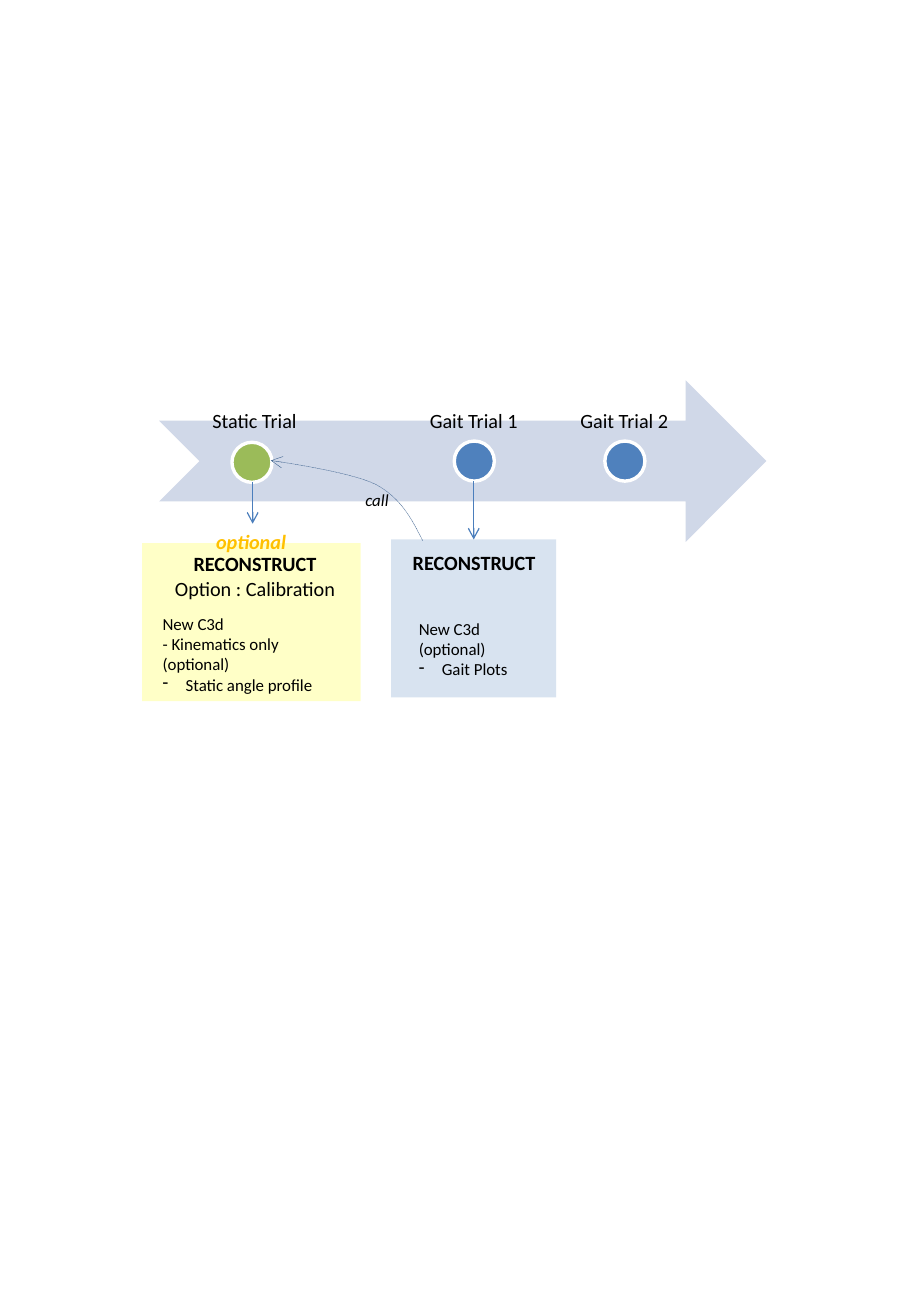
from dataclasses import dataclass

from lxml import etree
from pptx import Presentation
from pptx.dml.color import RGBColor
from pptx.enum.dml import MSO_LINE
from pptx.enum.shapes import MSO_CONNECTOR, MSO_SHAPE
from pptx.enum.text import MSO_AUTO_SIZE, PP_ALIGN
from pptx.oxml.ns import qn
from pptx.shapes.autoshape import Shape
from pptx.shapes.base import BaseShape
from pptx.slide import Slide
from pptx.util import Inches, Pt

RECTANGLE, ELLIPSE = MSO_SHAPE.RECTANGLE, MSO_SHAPE.OVAL
TIMELINE = MSO_SHAPE.NOTCHED_RIGHT_ARROW
STRAIGHT = MSO_CONNECTOR.STRAIGHT
DOTTED = MSO_LINE.ROUND_DOT
LEFT, CENTER = PP_ALIGN.LEFT, PP_ALIGN.CENTER
FIT_TEXT = MSO_AUTO_SIZE.SHAPE_TO_FIT_TEXT

FONT = "Calibri"
BULLET_INDENT = 0.19
DOT_SIZE = 0.33
COLORS = {
    "blue": "4F81BD",
    "yellow": "FFFF00",
    "green": "9BBB59",
    "timeline": "D0D8E8",
    "white": "FFFFFF",
    "black": "000000",
    "orange": "FFC000",
    "arrow": "4B7EBC",
    "call": "3A5F8C",
}
Point = tuple[float, float]


@dataclass(frozen=True)
class Block:
    left: float
    top: float
    width: float
    height: float
    color: str
    kind: MSO_SHAPE = RECTANGLE
    opacity: int = 100
    outline: str = ""


@dataclass(frozen=True)
class Line:
    text: str
    bold: bool = False
    italic: bool = False
    bullet: bool = False


@dataclass(frozen=True)
class Label:
    left: float
    top: float
    width: float
    height: float
    lines: tuple[Line, ...]
    size: int = 12
    align: PP_ALIGN = LEFT
    color: str = "black"


@dataclass(frozen=True)
class Arrow:
    x: float
    top: float
    bottom: float


CARDS = (
    Block(3.22, 4.44, 1.36, 1.3, "blue", opacity=22),
    Block(1.17, 4.47, 1.8, 1.3, "yellow", opacity=22),
)
TITLES = (
    Label(1.33, 4.49, 1.54, 0.5,
          (Line("RECONSTRUCT", bold=True), Line("Option : Calibration")), align=CENTER),
    Label(3.3, 4.48, 1.23, 0.3, (Line("RECONSTRUCT", bold=True),)),
)
TIMELINE_BLOCKS = (
    Block(1.31, 3.13, 5, 1.33, "timeline", TIMELINE),
    *(Block(left, top, DOT_SIZE, DOT_SIZE, color, ELLIPSE, outline="white")
      for left, top, color in ((1.91, 3.64, "green"), (3.74, 3.63, "blue"), (4.98, 3.63, "blue"))),
)
LABELS = (
    Label(1.65, 3.31, 0.9, 0.3, (Line("Static Trial"),)),
    Label(3.44, 3.31, 0.93, 0.3, (Line("Gait Trial 1"),)),
    Label(4.68, 3.31, 0.93, 0.3, (Line("Gait Trial 2"),)),
    Label(1.24, 5, 1.45, 0.77,
          (Line("New C3d\n- Kinematics only"), Line("(optional)"),
           Line("Static angle profile", bullet=True)), size=10),
    Label(3.35, 5.04, 0.93, 0.61,
          (Line("New C3d"), Line("(optional)"), Line("Gait Plots", bullet=True)), size=10),
    Label(2.91, 3.98, 0.39, 0.27, (Line("call", italic=True),), size=10),
    Label(1.68, 4.31, 0.79, 0.3, (Line("optional", bold=True, italic=True),), color="orange"),
)
ARROWS = (Arrow(3.9, 3.96, 4.44), Arrow(2.08, 3.97, 4.31))
CALL_CURVE = (
    ((3.48, 4.45), (3.39, 4.27), (3.3, 4.1), (3.1, 3.99)),
    ((3.1, 3.99), (2.89, 3.88), (2.23, 3.79), (2.23, 3.79)),
)


def rgb(name: str) -> RGBColor:
    return RGBColor.from_string(COLORS[name])


def add_block(page: Slide, block: Block) -> None:
    shape = page.shapes.add_shape(block.kind, Inches(block.left), Inches(block.top),
                                  Inches(block.width), Inches(block.height))
    shape.shadow.inherit = False
    shape.fill.solid()
    shape.fill.fore_color.rgb = rgb(block.color)
    if block.opacity < 100:
        color = shape.fill._xPr.find(f".//{qn('a:srgbClr')}")
        etree.SubElement(color, qn("a:alpha"), val=str(block.opacity * 1000))
    if block.outline:
        shape.line.color.rgb = rgb(block.outline)
        shape.line.width = Pt(2)
    else:
        shape.line.fill.background()


def add_label(page: Slide, label: Label) -> None:
    box = page.shapes.add_textbox(Inches(label.left), Inches(label.top),
                                  Inches(label.width), Inches(label.height))
    frame = box.text_frame
    frame.word_wrap = False
    frame.auto_size = FIT_TEXT
    for index, line in enumerate(label.lines):
        para = frame.add_paragraph() if index else frame.paragraphs[0]
        para.alignment = label.align
        if line.bullet:
            properties = para._p.get_or_add_pPr()
            properties.set("marL", str(Inches(BULLET_INDENT)))
            properties.set("indent", str(-Inches(BULLET_INDENT)))
            etree.SubElement(properties, qn("a:buChar"), char="-")
        for position, text in enumerate(line.text.split("\n")):
            if position:
                para.add_line_break()
            span = para.add_run()
            span.text = text
            font = span.font
            font.name, font.size = FONT, Pt(label.size)
            font.bold, font.italic = line.bold, line.italic
            font.color.rgb = rgb(label.color)


def add_arrowhead(shape: BaseShape) -> None:
    etree.SubElement(shape.line._get_or_add_ln(), qn("a:tailEnd"), type="arrow")


def add_arrow(page: Slide, arrow: Arrow) -> None:
    connector = page.shapes.add_connector(STRAIGHT, Inches(arrow.x), Inches(arrow.top),
                                          Inches(arrow.x), Inches(arrow.bottom))
    connector.line.color.rgb = rgb("arrow")
    connector.line.width = Pt(0.75)
    add_arrowhead(connector)
    etree.SubElement(connector._element.spPr, qn("a:effectLst"))


def bezier_points(curve: tuple[Point, ...], steps: int = 16) -> list[Point]:
    """Return points along a cubic curve, without its start."""
    points = []
    for step in range(1, steps + 1):
        t = step / steps
        weights = ((1 - t) ** 3, 3 * t * (1 - t) ** 2, 3 * t ** 2 * (1 - t), t ** 3)
        x, y = (sum(w * point[axis] for w, point in zip(weights, curve)) for axis in (0, 1))
        points.append((Inches(x), Inches(y)))
    return points


def add_call_curve(page: Slide) -> Shape:
    start_x, start_y = CALL_CURVE[0][0]
    builder = page.shapes.build_freeform(Inches(start_x), Inches(start_y))
    for curve in CALL_CURVE:
        builder.add_line_segments(bezier_points(curve), close=False)
    shape = builder.convert_to_shape()
    shape.shadow.inherit = False
    shape.fill.background()
    shape.line.color.rgb = rgb("call")
    shape.line.width = Pt(0.25)
    shape.line.dash_style = DOTTED
    add_arrowhead(shape)
    return shape


def main() -> None:
    deck = Presentation()
    deck.slide_width, deck.slide_height = Inches(7.5), Inches(10.83)
    page = deck.slides.add_slide(deck.slide_layouts[6])
    for card in CARDS:
        add_block(page, card)
    for title in TITLES:
        add_label(page, title)
    for block in TIMELINE_BLOCKS:
        add_block(page, block)
    add_call_curve(page)
    for arrow in ARROWS:
        add_arrow(page, arrow)
    for label in LABELS:
        add_label(page, label)
    deck.save("out.pptx")


if __name__ == "__main__":
    main()
